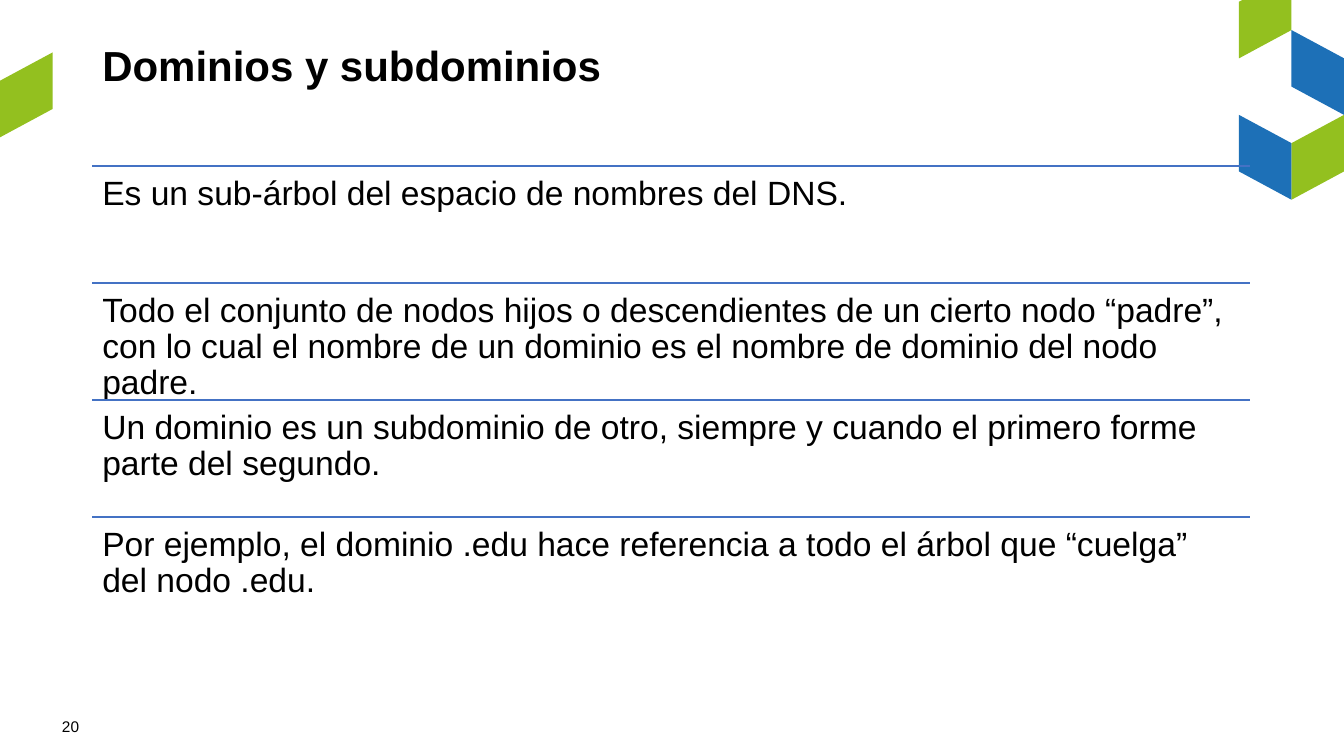
from lxml import etree
from pptx import Presentation
from pptx.dml.color import RGBColor
from pptx.enum.shapes import MSO_CONNECTOR
from pptx.enum.text import MSO_ANCHOR
from pptx.oxml.ns import qn
from pptx.util import Pt

STRAIGHT = MSO_CONNECTOR.STRAIGHT
TOP = MSO_ANCHOR.TOP

FONT = "Arial"
BLACK = "000000"
GREEN = "93C01F"
BLUE = "1D70B7"
RULE_BLUE = "4472C4"

SLIDE_WIDTH, SLIDE_HEIGHT = 960, 540
TILE_WIDTH, TILE_SIDE, TILE_SLANT = 37.5, 40.4, 20.2

STATEMENTS = [
    "Es un sub-árbol del espacio de nombres del DNS.",
    "Todo el conjunto de nodos hijos o descendientes de un cierto nodo “padre”, "
    "con lo cual el nombre de un dominio es el nombre de dominio del nodo padre.",
    "Un dominio es un subdominio de otro, siempre y cuando el primero forme "
    "parte del segundo.",
    "Por ejemplo, el dominio .edu hace referencia a todo el árbol que “cuelga” "
    "del nodo .edu.",
]


def color(hex_string):
    return RGBColor.from_string(hex_string)


def add_text(page, box, text, size, bold=False, inset=3.6, line_spacing=1.0):
    left, top, width, height = box
    frame = page.shapes.add_textbox(Pt(left), Pt(top), Pt(width), Pt(height)).text_frame
    frame.word_wrap = True
    frame.vertical_anchor = TOP
    frame.margin_left = frame.margin_right = Pt(7.2)
    frame.margin_top = frame.margin_bottom = Pt(inset)
    para = frame.paragraphs[0]
    para.text = text
    para.line_spacing = line_spacing
    para.font.name = FONT
    para.font.size = Pt(size)
    para.font.bold = bold
    para.font.color.rgb = color(BLACK)
    return para


def add_tile(page, left, top, fill, rising):
    """Draw one cube face, its upper edge rising or falling to the right."""
    right = left + TILE_WIDTH
    left_top = top + TILE_SLANT if rising else top
    right_top = top if rising else top + TILE_SLANT
    builder = page.shapes.build_freeform(Pt(left), Pt(left_top), scale=1.0)
    builder.add_line_segments([
        (Pt(right), Pt(right_top)),
        (Pt(right), Pt(right_top + TILE_SIDE)),
        (Pt(left), Pt(left_top + TILE_SIDE)),
    ], close=True)
    tile = builder.convert_to_shape()
    tile.shadow.inherit = False
    tile.fill.solid()
    tile.fill.fore_color.rgb = color(fill)
    tile.line.fill.background()


def add_decoration(page, box):
    left, top, width, _ = box
    outer = left + width - TILE_WIDTH
    inner = outer - TILE_WIDTH
    lower = top + 82.1
    middle = lower - TILE_SLANT - TILE_SIDE
    upper = middle - TILE_SIDE
    add_tile(page, left, top + 37.5, GREEN, rising=True)
    add_tile(page, outer, lower, GREEN, rising=True)
    add_tile(page, inner, lower, BLUE, rising=False)
    add_tile(page, outer, middle, BLUE, rising=False)
    add_tile(page, inner, upper, GREEN, rising=True)


def add_rule(page, left, top, width):
    rule = page.shapes.add_connector(
        STRAIGHT, Pt(left), Pt(top), Pt(left + width), Pt(top))
    rule.line.color.rgb = color(RULE_BLUE)
    rule.line.width = Pt(1)
    etree.SubElement(rule._element.spPr, qn("a:effectLst"))


def add_statements(page, box, statements):
    """Stack the statements in equal rows, each under a rule."""
    left, top, width, height = box
    row_height = height / len(statements)
    for index, statement in enumerate(statements):
        row_top = top + index * row_height
        add_rule(page, left, row_top, width)
        para = add_text(page, (left, row_top, width, row_height), statement, 24,
                        inset=7.2, line_spacing=0.9)
        para.space_after = Pt(8.4)


def main():
    deck = Presentation()
    deck.slide_width, deck.slide_height = Pt(SLIDE_WIDTH), Pt(SLIDE_HEIGHT)
    page = deck.slides.add_slide(deck.slide_layouts[6])
    add_decoration(page, (0, 0, SLIDE_WIDTH, SLIDE_HEIGHT))
    add_text(page, (66, 28.8, 782, 64), "Dominios y subdominios", 30, bold=True,
             line_spacing=0.9)
    add_statements(page, (66, 118.6, 826.8, 334.4), STATEMENTS)
    add_text(page, (37.2, 509, 54, 28.8), "20", 11)
    deck.save("out.pptx")


if __name__ == "__main__":
    main()
